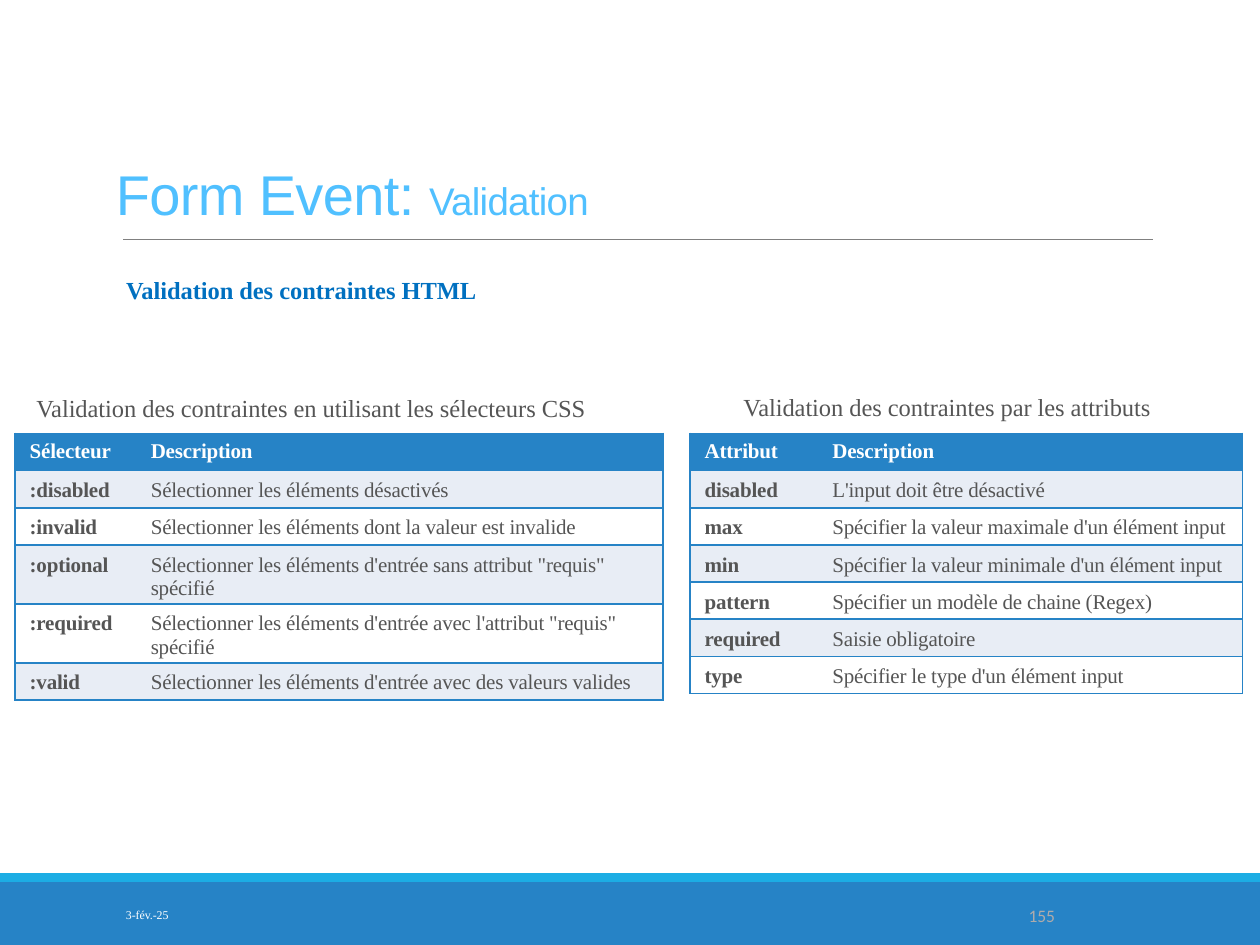
import pptx
import pptx.dml.color
import pptx.enum.shapes
import pptx.enum.text
import pptx.oxml.ns
import pptx.util
from lxml import etree

Pt = pptx.util.Pt
ANCHOR = pptx.enum.text.MSO_ANCHOR
SHAPE = pptx.enum.shapes.MSO_SHAPE
qn = pptx.oxml.ns.qn
colour = pptx.dml.color.RGBColor.from_string
BLUE, SKY, GREY, WHITE, BAND = "2683C6", "1CADE4", "555555", "FFFFFF", "E8EDF5"
SERIF = "Times New Roman"


def write(frame, text, size, ink, bold=False, face=SERIF, margins=(0, 0, 0, 0), spacing=-0.1):
    """Fill a frame or cell's single paragraph; spacing is letter spacing in points."""
    frame.margin_left, frame.margin_top, frame.margin_right, frame.margin_bottom = map(Pt, margins)
    frame.word_wrap = True
    para = frame.paragraphs[0]
    para.alignment = pptx.enum.text.PP_ALIGN.LEFT
    para.font.size, para.font.name, para.font.bold = Pt(size), face, bold
    para.font.color.rgb = colour(ink)
    span = para.add_run()
    span.text = text
    span.font._element.set("spc", str(round(spacing * 100)))
    return para


def draw_border(cell, side, ink=None):
    """Draw one side (L, R, T or B) of a cell, or clear it when no ink is given."""
    line = etree.SubElement(cell._tc.get_or_add_tcPr(), qn(f"a:ln{side}"), w=str(Pt(1)))
    fill = etree.SubElement(line, qn("a:solidFill" if ink else "a:noFill"))
    if ink:
        etree.SubElement(fill, qn("a:srgbClr"), val=ink)


deck = pptx.Presentation()
deck.slide_width, deck.slide_height = Pt(720), Pt(540)
page = deck.slides.add_slide(deck.slide_layouts[5])

# Footer bars and title rule
for top, height, ink in [(504, 36, BLUE), (499, 5, SKY)]:
    bar = page.shapes.add_shape(SHAPE.RECTANGLE, Pt(0), Pt(top), Pt(720), Pt(height))
    bar.shadow.inherit = False
    bar.fill.solid()
    bar.fill.fore_color.rgb = colour(ink)
    bar.line.fill.background()

rule = page.shapes.add_connector(
    pptx.enum.shapes.MSO_CONNECTOR.STRAIGHT, Pt(70.5), Pt(136.8), Pt(658.8), Pt(136.8))
rule.line.color.rgb = colour("808080")
rule.line.width = Pt(0.5)
etree.SubElement(rule._element.spPr, qn("a:effectLst"))

# Title
title = page.shapes.title
title.left, title.top, title.width, title.height = Pt(59), Pt(55.4), Pt(651), Pt(77.8)
title.text_frame.vertical_anchor = ANCHOR.BOTTOM
para = write(title.text_frame, "Form Event: ", 32, "50C0FF", face="Arial",
             margins=(7.2, 3.6, 7.2, 3.6), spacing=-0.4)
para.line_spacing = 0.85
span = para.add_run()
span.text = "Validation"
span.font.size = Pt(22)
span.font._element.set("spc", "-40")

# Headings and footer: text, left, top, width, height, size, colour, bold, face, anchor
labels = [
    ("Validation des contraintes HTML", 72, 157, 245, 18, 14, "0070C0", True, SERIF, ANCHOR.TOP),
    ("Validation des contraintes par les attributs",
     424.8, 223.8, 256, 18, 14, GREY, False, SERIF, ANCHOR.TOP),
    ("Validation des contraintes en utilisant les sélecteurs CSS",
     20.8, 224.8, 340, 18, 14, GREY, False, SERIF, ANCHOR.TOP),
    ("3-fév.-25", 72, 508.5, 139, 28.8, 6.8, WHITE, False, SERIF, ANCHOR.MIDDLE),
    ("155", 587.8, 508.5, 75, 28.8, 10, "AEABAB", False, "Calibri", ANCHOR.MIDDLE),
]
for text, left, top, width, height, size, ink, bold, face, anchor in labels:
    box = page.shapes.add_textbox(Pt(left), Pt(top), Pt(width), Pt(height))
    box.text_frame.vertical_anchor = anchor
    write(box.text_frame, text, size, ink, bold, face, spacing=-0.05)

# Tables: left, column widths, indexes of two-line rows, rows
tables = [
    (394.3, (73, 242.8), (), [
        ("Attribut", "Description"),
        ("disabled", "L'input doit être désactivé"),
        ("max", "Spécifier la valeur maximale d'un élément input"),
        ("min", "Spécifier la valeur minimale d'un élément input"),
        ("pattern", "Spécifier un modèle de chaine (Regex)"),
        ("required", "Saisie obligatoire"),
        ("type", "Spécifier le type d'un élément input"),
    ]),
    (8.6, (69.2, 301), (3, 4), [
        ("Sélecteur", "Description"),
        (":disabled", "Sélectionner les éléments désactivés"),
        (":invalid", "Sélectionner les éléments dont la valeur est invalide"),
        (":optional", "Sélectionner les éléments d'entrée sans attribut \"requis\" spécifié"),
        (":required", "Sélectionner les éléments d'entrée avec l'attribut \"requis\" spécifié"),
        (":valid", "Sélectionner les éléments d'entrée avec des valeurs valides"),
    ]),
]
for left, widths, tall_rows, rows in tables:
    heights = [33.7 if index in tall_rows else 21.25 for index in range(len(rows))]
    table = page.shapes.add_table(len(rows), 2, Pt(left), Pt(247.7),
                                  Pt(sum(widths)), Pt(sum(heights))).table
    for column, width in zip(table.columns, widths):
        column.width = Pt(width)
    for r, texts in enumerate(rows):
        table.rows[r].height = Pt(heights[r])
        for c, text in enumerate(texts):
            cell = table.cell(r, c)
            header = r == 0
            write(cell.text_frame, text, 12, WHITE if header else GREY, header or c == 0)
            cell.margin_left, cell.margin_top = Pt(8.4), Pt(3.6 if header else 4.8)
            cell.margin_right = cell.margin_bottom = Pt(0)
            for side, ink in [("L", None if c else BLUE), ("R", BLUE if c else None),
                              ("T", BLUE), ("B", BLUE)]:
                draw_border(cell, side, ink)
            cell.fill.solid()
            cell.fill.fore_color.rgb = colour(BLUE if header else BAND if r % 2 else WHITE)

deck.save("out.pptx")
